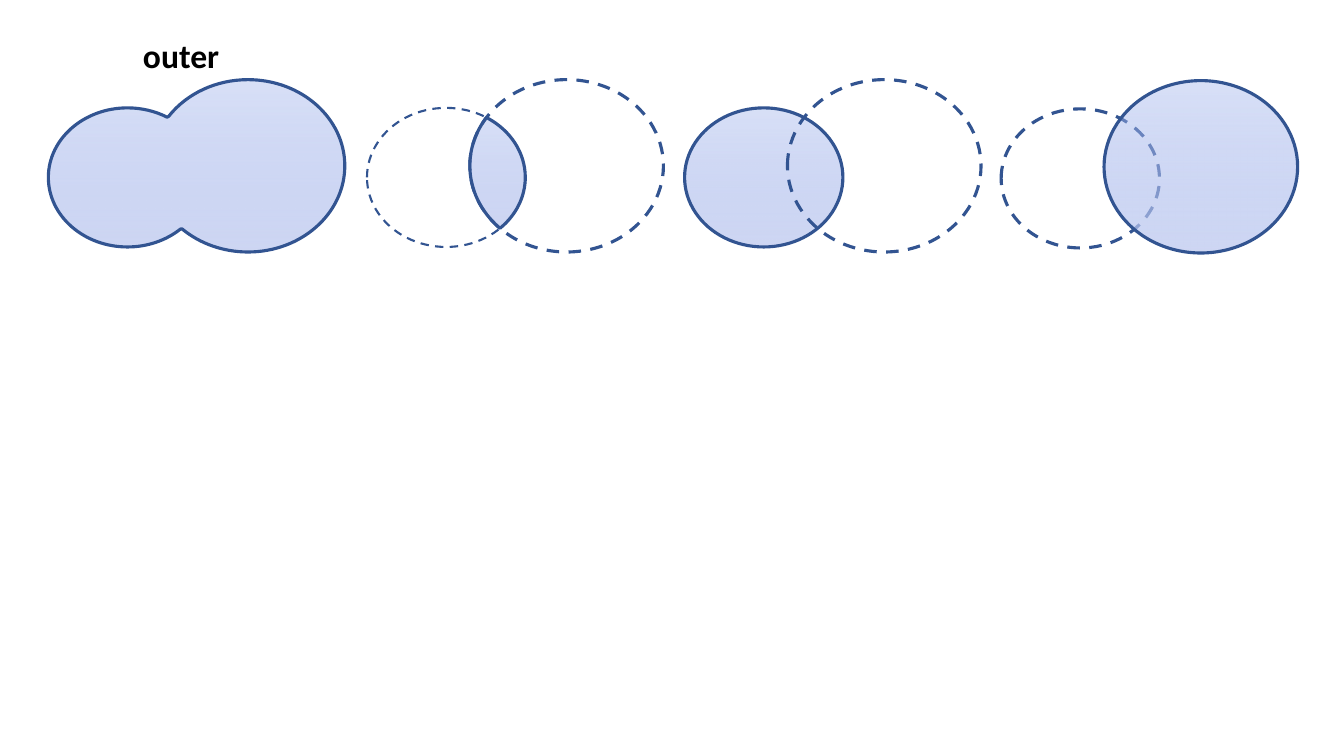
from dataclasses import dataclass
from math import cos, radians, sin, tan

from lxml import etree
from pptx import Presentation
from pptx.dml.color import RGBColor
from pptx.enum.dml import MSO_LINE
from pptx.enum.shapes import MSO_SHAPE
from pptx.enum.text import MSO_AUTO_SIZE, MSO_ANCHOR
from pptx.oxml.ns import qn
from pptx.util import Inches, Pt

OVAL = MSO_SHAPE.OVAL
DASH = MSO_LINE.DASH
FIT_SHAPE = MSO_AUTO_SIZE.SHAPE_TO_FIT_TEXT
TOP = MSO_ANCHOR.TOP

COLOURS = {"outline": "325491", "deep": "96ABEA", "middle": "C0CBF0",
           "pale": "E0E5F7", "text": "000000"}
STOPS = [(0, "deep", 36), (100, "middle", 77), (100, "pale", 100)]
COLUMNS = (0.48, 3.64, 6.79, 9.93)


@dataclass(frozen=True)
class Node:
    point: tuple[float, float]
    controls: tuple = ()


@dataclass(frozen=True)
class Ellipse:
    left: float
    top: float
    width: float
    height: float

    def moved(self, column: int, drop: float = 0) -> "Ellipse":
        return Ellipse(self.left + COLUMNS[column], self.top + drop,
                       self.width, self.height)

    def point(self, degrees: float, pull: float = 0) -> tuple[float, float]:
        angle = radians(degrees)
        return (self.left + self.width / 2 * (1 + cos(angle) - pull * sin(angle)),
                self.top + self.height / 2 * (1 + sin(angle) + pull * cos(angle)))

    def contains(self, point: tuple[float, float]) -> bool:
        across = (point[0] - self.left) / self.width * 2 - 1
        down = (point[1] - self.top) / self.height * 2 - 1
        return across ** 2 + down ** 2 < 1

    def arc(self, other: "Ellipse", inside: bool, start: int) -> list[Node]:
        kept = [angle for angle in range(start, start + 360)
                if other.contains(self.point(angle)) == inside]
        quarters = [angle for angle in kept[1:-1] if angle % 90 == 0]
        angles = [kept[0], *quarters, kept[-1]]
        nodes = [Node(self.point(angles[0]))]
        for begin, end in zip(angles, angles[1:]):
            pull = 4 / 3 * tan(radians(end - begin) / 4)
            controls = (self.point(begin, pull), self.point(end, -pull))
            nodes.append(Node(self.point(end), controls))
        return nodes


@dataclass(frozen=True)
class Join:
    left_filled: bool
    right_filled: bool
    left_weight: float = 2.25
    drop: float = 0


SMALL = Ellipse(0, 1.07, 1.57, 1.38)
LARGE = Ellipse(1.02, 0.79, 1.92, 1.71)
INNER = Join(False, False, left_weight=1.5)
LEFT = Join(True, False)
RIGHT = Join(False, True, drop=0.01)


def style(shape, filled: bool, weight: float = 2.25) -> None:
    shape.shadow.inherit = False
    shape.line.color.rgb = RGBColor.from_string(COLOURS["outline"])
    shape.line.width = Pt(weight)
    if not filled:
        shape.fill.background()
        shape.line.dash_style = DASH
        return
    shape.fill.gradient()
    shape.fill.gradient_angle = 270
    stops = shape._element.spPr.find(qn("a:gradFill")).find(qn("a:gsLst"))
    for stop in list(stops):
        stops.remove(stop)
    for position, colour, opacity in STOPS:
        stop = etree.SubElement(stops, qn("a:gs"), pos=str(position * 1000))
        tint = etree.SubElement(stop, qn("a:srgbClr"), val=COLOURS[colour])
        if opacity < 100:
            etree.SubElement(tint, qn("a:alpha"), val=str(opacity * 1000))


def draw_ellipse(page, ellipse: Ellipse, filled: bool, weight: float = 2.25) -> None:
    shape = page.shapes.add_shape(OVAL, Inches(ellipse.left), Inches(ellipse.top),
                                  Inches(ellipse.width), Inches(ellipse.height))
    style(shape, filled, weight)


def bend(shape, nodes: list[Node]) -> None:
    segments = list(shape._element.spPr.iter(qn("a:lnTo")))
    for segment, node in zip(segments, nodes[1:]):
        if not node.controls:
            continue
        segment.tag = qn("a:cubicBezTo")
        for place, (x, y) in enumerate(node.controls):
            control = etree.Element(qn("a:pt"), x=str(Inches(x) - shape.left),
                                    y=str(Inches(y) - shape.top))
            segment.insert(place, control)


def draw_outline(page, nodes: list[Node]) -> None:
    corners = [(Inches(node.point[0]), Inches(node.point[1])) for node in nodes]
    builder = page.shapes.build_freeform(*corners[0])
    builder.add_line_segments(corners[1:], close=True)
    shape = builder.convert_to_shape()
    bend(shape, nodes)
    style(shape, True)


def draw_union(page, column: int) -> None:
    small, large = SMALL.moved(column), LARGE.moved(column)
    draw_outline(page, small.arc(large, False, 0) + large.arc(small, False, 180))


def draw_overlap(page, column: int) -> None:
    small, large = SMALL.moved(column), LARGE.moved(column)
    draw_outline(page, small.arc(large, True, 180) + large.arc(small, True, 0))


def draw_join(page, column: int, join: Join) -> None:
    draw_ellipse(page, SMALL.moved(column, join.drop), join.left_filled, join.left_weight)
    draw_ellipse(page, LARGE.moved(column, join.drop), join.right_filled)


def draw_label(page, text: str) -> None:
    box = page.shapes.add_textbox(Inches(1.32), Inches(0.3), Inches(0.97), Inches(0.5))
    frame = box.text_frame
    frame.text = text
    frame.word_wrap = False
    frame.auto_size = FIT_SHAPE
    frame.vertical_anchor = TOP
    font = frame.paragraphs[0].runs[0].font
    font.name = "Calibri"
    font.size = Pt(24)
    font.bold = True
    font.color.rgb = RGBColor.from_string(COLOURS["text"])


deck = Presentation()
deck.slide_width, deck.slide_height = Inches(13.33), Inches(7.5)
page = deck.slides.add_slide(deck.slide_layouts[6])

draw_union(page, 0)
for column, join in enumerate([INNER, LEFT, RIGHT], start=1):
    draw_join(page, column, join)
draw_overlap(page, 1)
draw_label(page, "outer")

deck.save("out.pptx")
